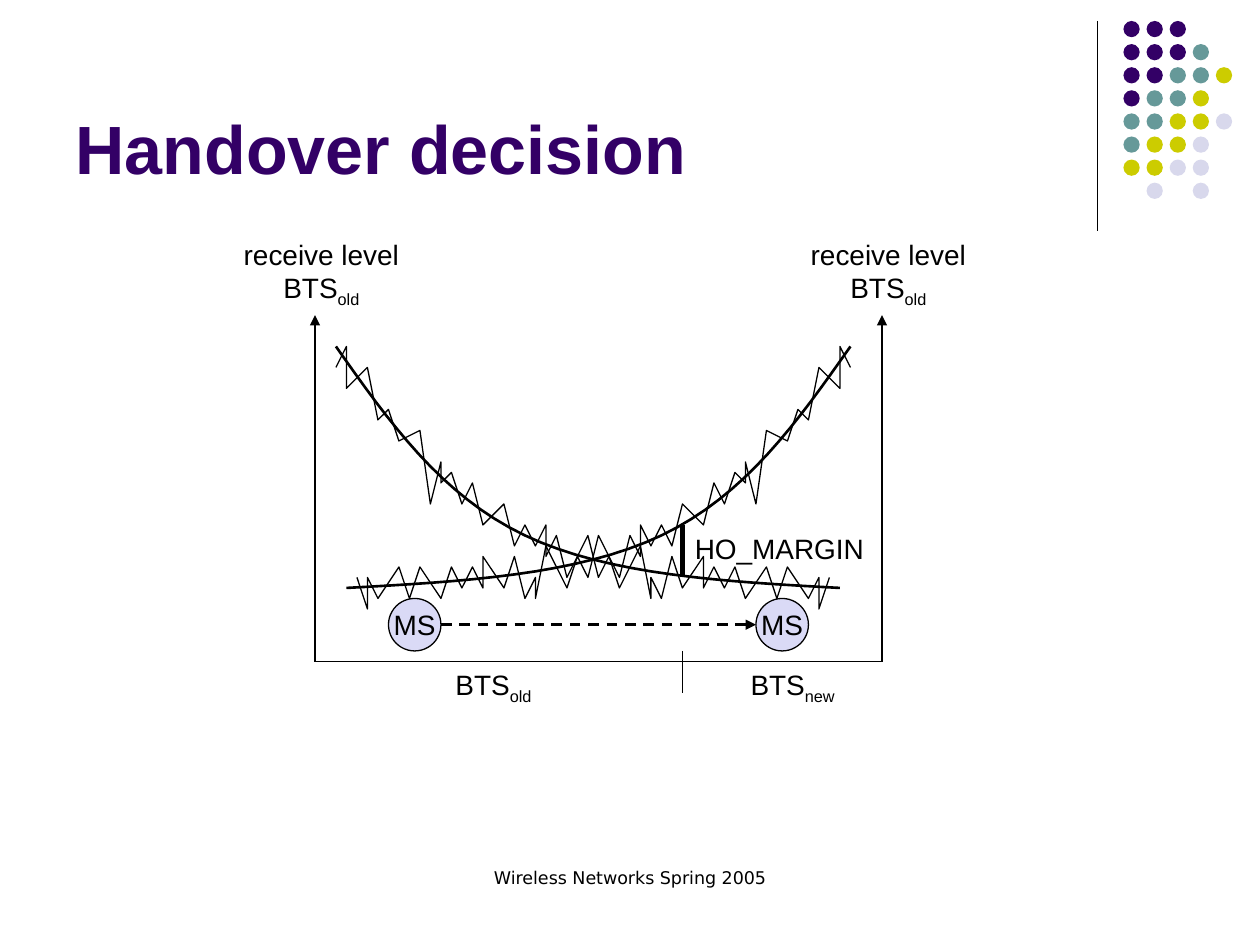
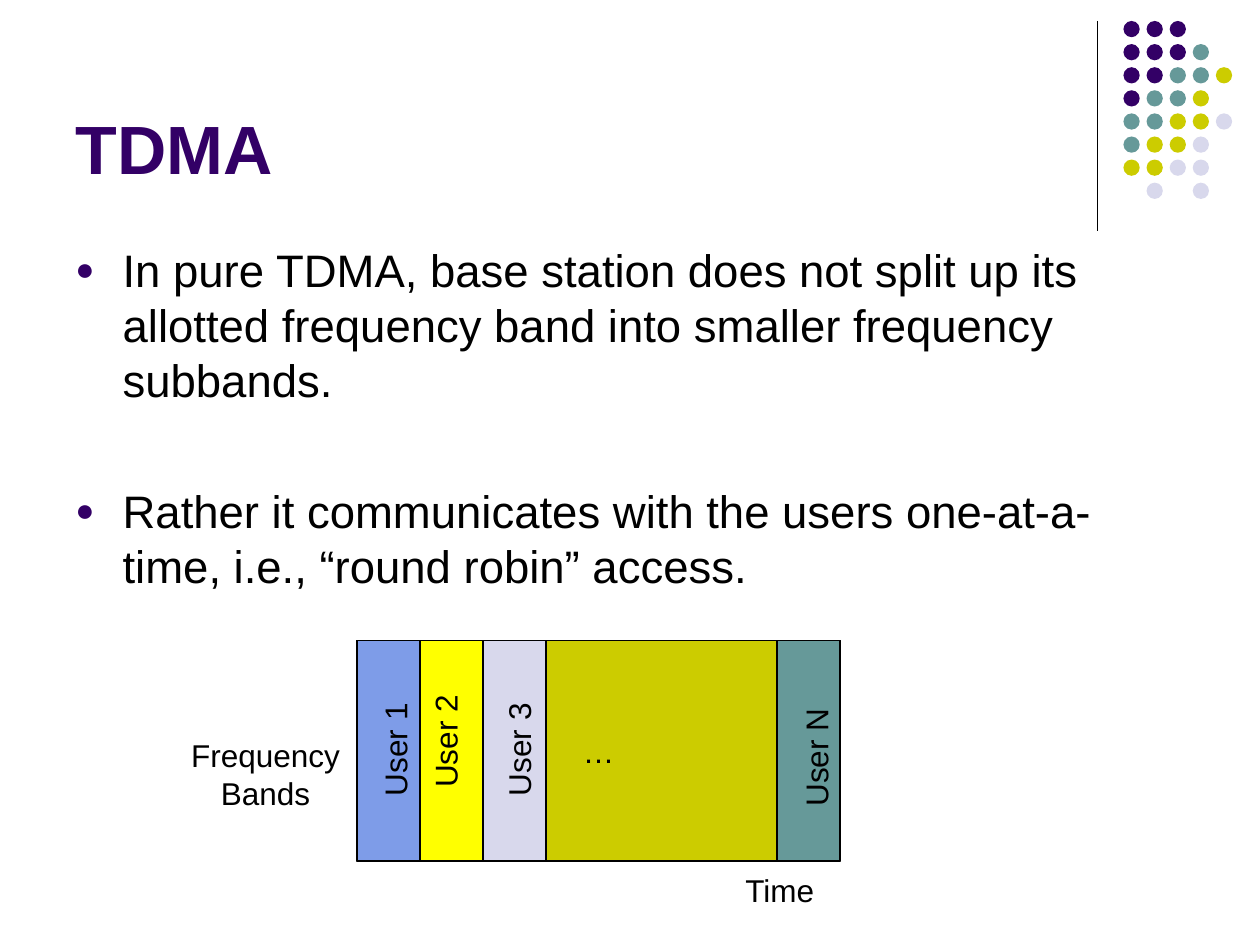
from lxml import etree
from pptx import Presentation
from pptx import util as u
from pptx.dml.color import RGBColor
from pptx.enum import dml, shapes, text
from pptx.oxml.ns import qn

BLACK = RGBColor(0x00, 0x00, 0x00)
PURPLE = RGBColor(0x33, 0x00, 0x66)
TEAL = RGBColor(0x66, 0x99, 0x99)
OLIVE = RGBColor(0xCC, 0xCC, 0x00)
PALE = RGBColor(0xD8, 0xD8, 0xEC)
LILAC = RGBColor(0xDA, 0xDA, 0xF6)
BLUE = RGBColor(0x7E, 0x9C, 0xE8)
YELLOW = RGBColor(0xFF, 0xFF, 0x00)

MID = text.PP_ALIGN.CENTER
FIT = text.MSO_AUTO_SIZE
OVAL = shapes.MSO_SHAPE.OVAL
RECT = shapes.MSO_SHAPE.RECTANGLE

# Corner dots, one string per row
DOTS = ["PPP", "PPPT", "PPTTO", "PTTO", "TTOOL", "TOOL", "OOLL", " L L"]
HUES = {"P": PURPLE, "T": TEAL, "O": OLIVE, "L": PALE}

# Level of the old station: mean curve (Bezier pieces) and noisy samples
CURVE = [[(32, 33), (37, 40.1), (42, 47.2), (50, 51)],
         [(50, 51), (58, 54.8), (69, 55.4), (80, 56)]]
NOISE = [(32, 35), (33, 33), (33, 37), (35, 35), (36, 40), (37, 39), (38, 42),
         (40, 41), (41, 48), (42, 44), (42, 46), (43, 45), (44, 48), (45, 46),
         (46, 50), (48, 48), (49, 52), (50, 50), (51, 52), (52, 50), (52, 53),
         (53, 51), (54, 55), (56, 51), (57, 55), (58, 53), (59, 56), (61, 52),
         (62, 57), (62, 55), (63, 57), (64, 53), (65, 56), (67, 53), (67, 56),
         (68, 54), (69, 56), (70, 54), (71, 57), (73, 54), (74, 57), (75, 54),
         (77, 57), (78, 55), (78, 58), (79, 55)]


def grid(n):
    """Length of n grid steps; the slide is 120 by 90 steps."""
    return u.Cm(n * 2.54 / 12)


def write(frame, paras, size=16, font="Arial", color=BLACK, bold=False,
          align=None, gap=0, bullet=False):
    """Fill a frame; a paragraph is a string or a (base, subscript) pair."""
    for i, parts in enumerate(paras):
        para = frame.paragraphs[0] if i == 0 else frame.add_paragraph()
        para.alignment = align
        para.space_before = u.Pt(gap if i else 0)
        if bullet:
            mark(para)
        for k, part in enumerate([parts] if isinstance(parts, str) else parts):
            run = para.add_run()
            run.text = part
            run.font.size, run.font.name = u.Pt(size), font
            run.font.bold, run.font.color.rgb = bold, color
            if k:
                run.font._element.set("baseline", "-25000")


def mark(para):
    """Give a paragraph a hanging round bullet."""
    props = para._p.get_or_add_pPr()
    props.set("marL", str(grid(4.5)))
    props.set("indent", str(-grid(4.5)))
    tint = etree.SubElement(props, qn("a:buClr"))
    etree.SubElement(tint, qn("a:srgbClr"), val=str(PURPLE))
    etree.SubElement(props, qn("a:buSzPct"), val="70000")
    etree.SubElement(props, qn("a:buFont"), typeface="Arial")
    etree.SubElement(props, qn("a:buChar"), char="●")


def trace(pieces, steps=16):
    """Points along joined cubic Bezier pieces."""
    points = [pieces[0][0]]
    for a, b, c, d in pieces:
        for i in range(1, steps + 1):
            t = i / steps
            s = 1 - t
            points.append(tuple(
                s**3 * p + 3 * s * s * t * q + 3 * s * t * t * r + t**3 * e
                for p, q, r, e in zip(a, b, c, d)))
    return points


class Deck:
    def __init__(self):
        self.prs = Presentation()
        self.prs.slide_width, self.prs.slide_height = grid(120), grid(90)

    def start(self, title):
        """New slide with rule, corner dots and title."""
        self.slide = self.prs.slides.add_slide(self.prs.slide_layouts[5])
        self.line(104.5, 2, 104.5, 22)
        group = self.slide.shapes.add_group_shape()
        for row, keys in enumerate(DOTS):
            for col, key in enumerate(keys):
                if key in HUES:
                    self.shape(OVAL, 107 + 2.2 * col, 2 + 2.2 * row, 1.55, 1.55,
                               HUES[key], edge=False, home=group)
        head = self.slide.shapes.title
        head.left, head.top, head.width, head.height = map(
            grid, (6, 1.5, 99, 17))
        frame = head.text_frame
        frame.vertical_anchor = text.MSO_ANCHOR.BOTTOM
        frame.auto_size = FIT.NONE
        write(frame, [title], size=39, color=PURPLE, bold=True,
              align=text.PP_ALIGN.LEFT)

    def shape(self, kind, x, y, w, h, fill, label=None, size=16, edge=True,
              home=None):
        item = (home or self.slide).shapes.add_shape(
            kind, *map(grid, (x, y, w, h)))
        item.shadow.inherit = False
        item.fill.solid()
        item.fill.fore_color.rgb = fill
        if edge:
            item.line.color.rgb, item.line.width = BLACK, u.Pt(0.75)
        else:
            item.line.fill.background()
        if label:
            item.text_frame.word_wrap = False
            item.text_frame.vertical_anchor = text.MSO_ANCHOR.MIDDLE
            write(item.text_frame, [label], size=size, align=MID)

    def line(self, x1, y1, x2, y2, width=0.75, arrow=False, dash=False):
        item = self.slide.shapes.add_connector(
            shapes.MSO_CONNECTOR.STRAIGHT, *map(grid, (x1, y1, x2, y2)))
        item.line.color.rgb, item.line.width = BLACK, u.Pt(width)
        if dash:
            item.line.dash_style = dml.MSO_LINE.DASH
        if arrow:
            etree.SubElement(item.line._get_or_add_ln(), qn("a:tailEnd"),
                             type="triangle")
        etree.SubElement(item._element.spPr, qn("a:effectLst"))

    def trail(self, points, width=0.75):
        first, *rest = [(grid(x), grid(y)) for x, y in points]
        pen = self.slide.shapes.build_freeform(*first)
        pen.add_line_segments(rest, close=False)
        item = pen.convert_to_shape()
        item.shadow.inherit = False
        item.fill.background()
        item.line.color.rgb, item.line.width = BLACK, u.Pt(width)

    def text(self, paras, x, y, w, h, wrap=False, turn=0, **style):
        box = self.slide.shapes.add_textbox(*map(grid, (x, y, w, h)))
        box.rotation = turn
        frame = box.text_frame
        frame.word_wrap = wrap
        frame.auto_size = FIT.NONE if wrap else FIT.SHAPE_TO_FIT_TEXT
        write(frame, paras, **style)


def handover(deck):
    deck.start("Handover decision")
    deck.text(["Wireless Networks Spring 2005"], 41, 82, 38, 6, wrap=True,
              size=10, font="DejaVu Sans", align=MID)

    # Axes
    old = ("BTS", "old")
    for x in (30, 84):
        deck.line(x, 63, x, 30, arrow=True)
        deck.text(["receive level", old], x - 8, 22, 17.2, 8, align=MID)
    deck.line(30, 63, 84, 63)

    # Moving station
    for x in (37, 72):
        deck.shape(OVAL, x, 57, 5, 5, LILAC, "MS")
    deck.line(42, 59.5, 72, 59.5, width=1.5, arrow=True, dash=True)

    # Levels of both stations, one the mirror of the other
    for points, width in ((trace(CURVE), 1.5), (NOISE, 0.75)):
        deck.trail(points, width)
        deck.trail([(113 - x, y) for x, y in points], width)

    # Margin and cell border
    deck.line(65, 55, 65, 50, width=3)
    deck.text(["HO_MARGIN"], 65, 50, 18.5, 4.4)
    deck.line(65, 62, 65, 66)
    deck.text([old], 42.2, 63, 9.7, 4.9)
    deck.text([("BTS", "new")], 70.3, 63, 10.5, 4.9)


def tdma(deck):
    deck.start("TDMA")
    deck.text(["In pure TDMA, base station does not split up its allotted "
               "frequency band into smaller frequency subbands.",
               "Rather it communicates with the users one-at-a-time, i.e., "
               "“round robin” access."],
              6, 22.5, 108, 57.8, wrap=True, size=26, gap=44, bullet=True)

    # Time slots
    deck.shape(RECT, 34, 61, 46, 21, OLIVE, "…", size=18)
    for x, fill in ((34, BLUE), (40, YELLOW), (46, PALE), (74, TEAL)):
        deck.shape(RECT, x, 61, 6, 21, fill)
    for name, x, y, w in (("User 1", 32, 69, 11.2), ("User 2", 36.8, 68.2, 11.2),
                          ("User 3", 43.8, 69, 11.2), ("User N", 71.8, 69.7, 11.8)):
        deck.text([name], x, y, w, 4.8, turn=270, size=18)

    # Axis names
    deck.text(["Frequency", "Bands"], 17, 69.5, 16.6, 8.4, size=18, align=MID)
    deck.text(["Time"], 69.8, 82.4, 9, 4.8, size=18)


def main():
    deck = Deck()
    handover(deck)
    tdma(deck)
    deck.prs.save("out.pptx")


if __name__ == "__main__":
    main()
